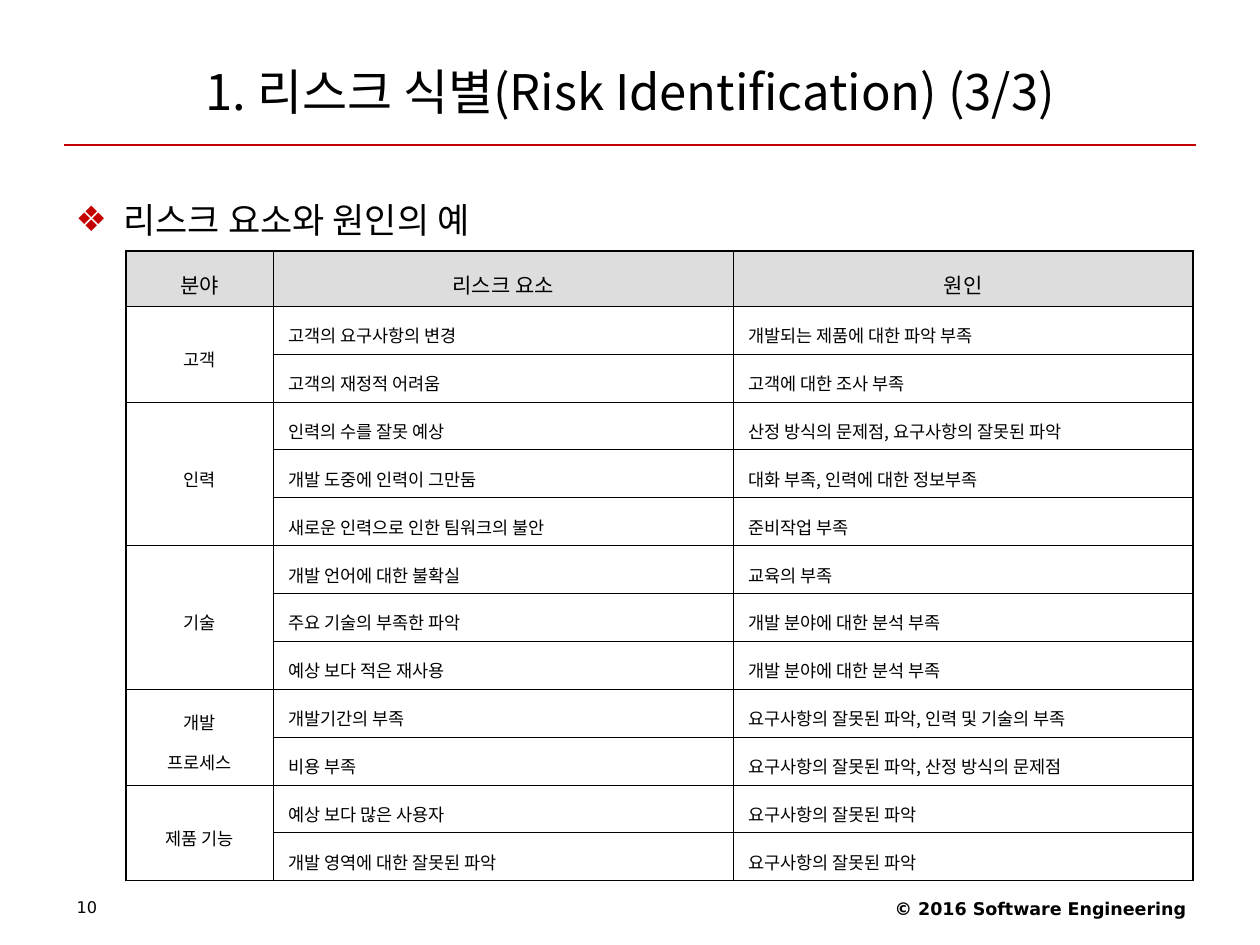
from dataclasses import dataclass

from lxml import etree
from pptx import Presentation
from pptx.dml.color import RGBColor
from pptx.enum import shapes, text
from pptx.oxml import ns
from pptx.util import Inches, Pt


@dataclass(frozen=True)
class Theme:
    ink: str = "000000"
    accent: str = "C40000"
    header_fill: str = "DDDDDD"
    korean: str = "Noto Sans CJK KR"
    latin: str = "DejaVu Sans"
    title: float = 28
    bullet: float = 20
    header: float = 12
    cell: float = 10
    copyright: float = 10
    page: float = 9.2
    rule: float = 0.75
    outer: float = 1.08
    inner: float = 0.45


THEME = Theme()
ALIGN = text.PP_ALIGN
ANCHOR = text.MSO_ANCHOR

HEADER_HEIGHT, RISK_HEIGHT = 0.44, 0.38
COLUMN_WIDTHS = (1.17, 3.65, 3.65)
HEADERS = ["분야", "리스크 요소", "원인"]
RISKS = [
    ("고객", [
        ("고객의 요구사항의 변경", "개발되는 제품에 대한 파악 부족"),
        ("고객의 재정적 어려움", "고객에 대한 조사 부족"),
    ]),
    ("인력", [
        ("인력의 수를 잘못 예상", "산정 방식의 문제점, 요구사항의 잘못된 파악"),
        ("개발 도중에 인력이 그만둠", "대화 부족, 인력에 대한 정보부족"),
        ("새로운 인력으로 인한 팀워크의 불안", "준비작업 부족"),
    ]),
    ("기술", [
        ("개발 언어에 대한 불확실", "교육의 부족"),
        ("주요 기술의 부족한 파악", "개발 분야에 대한 분석 부족"),
        ("예상 보다 적은 재사용", "개발 분야에 대한 분석 부족"),
    ]),
    ("개발\n프로세스", [
        ("개발기간의 부족", "요구사항의 잘못된 파악, 인력 및 기술의 부족"),
        ("비용 부족", "요구사항의 잘못된 파악, 산정 방식의 문제점"),
    ]),
    ("제품 기능", [
        ("예상 보다 많은 사용자", "요구사항의 잘못된 파악"),
        ("개발 영역에 대한 잘못된 파악", "요구사항의 잘못된 파악"),
    ]),
]


def add_child(parent, tag, **attributes):
    return etree.SubElement(parent, ns.qn(tag), attributes)


def style_paragraph(paragraph, size, face, align=ALIGN.LEFT, spacing=1.0, bold=False):
    paragraph.alignment = align
    paragraph.line_spacing = spacing
    paragraph.space_before = Pt(0)
    font = paragraph.font
    font.size = Pt(size)
    font.bold = bold
    font.name = face
    font.color.rgb = RGBColor.from_string(THEME.ink)
    defaults = paragraph._p.pPr.find(ns.qn("a:defRPr"))
    defaults.set("kern", "0")
    add_child(defaults, "a:ea", typeface=face)


def place(shape, left, top, width, height):
    shape.left, shape.top = Inches(left), Inches(top)
    shape.width, shape.height = Inches(width), Inches(height)


def fill_title(title):
    place(title, 0.5, 0.3, 9, 0.85)
    frame = title.text_frame
    frame.text = "1. 리스크 식별(Risk Identification) (3/3)"
    frame.auto_size = text.MSO_AUTO_SIZE.NONE
    frame.vertical_anchor = ANCHOR.MIDDLE
    style_paragraph(frame.paragraphs[0], THEME.title, THEME.korean, ALIGN.CENTER)


def fill_body(body):
    place(body, 0.5, 1.39, 9, 5.51)
    frame = body.text_frame
    frame.text = "리스크 요소와 원인의 예"
    frame.auto_size = text.MSO_AUTO_SIZE.NONE
    frame.vertical_anchor = ANCHOR.TOP
    heading = frame.paragraphs[0]
    properties = heading._p.get_or_add_pPr()
    properties.set("marL", str(Inches(0.38)))
    properties.set("indent", str(Inches(-0.38)))
    add_child(add_child(properties, "a:buClr"), "a:srgbClr", val=THEME.accent)
    add_child(properties, "a:buFont", typeface=THEME.latin)
    add_child(properties, "a:buChar", char="❖")
    style_paragraph(heading, THEME.bullet, THEME.korean, spacing=1.4)


def add_title_rule(slide):
    rule = slide.shapes.add_connector(
        shapes.MSO_CONNECTOR.STRAIGHT, Inches(0.51), Inches(1.15), Inches(9.49), Inches(1.15))
    rule.line.color.rgb = RGBColor.from_string(THEME.accent)
    rule.line.width = Pt(THEME.rule)
    add_child(rule._element.spPr, "a:effectLst")


def add_footer(slide, wording, box, size, **style):
    footer = slide.shapes.add_textbox(*map(Inches, box))
    frame = footer.text_frame
    frame.word_wrap = True
    frame.text = wording
    style_paragraph(frame.paragraphs[0], size, THEME.latin, **style)


def add_borders(cell, outer_sides):
    properties = cell._tc.get_or_add_tcPr()
    for side in "LRTB":
        width = THEME.outer if side in outer_sides else THEME.inner
        border = add_child(properties, f"a:ln{side}", w=str(Pt(width)))
        add_child(add_child(border, "a:solidFill"), "a:srgbClr", val=THEME.ink)


def format_cell(cell, outer_sides, fill=None):
    cell.margin_left = cell.margin_right = Inches(0.12)
    cell.margin_top = cell.margin_bottom = Inches(0.05)
    add_borders(cell, outer_sides)
    if fill:
        cell.fill.solid()
        cell.fill.fore_color.rgb = RGBColor.from_string(fill)
    else:
        cell.fill.background()


def write_cell(cell, wording, size=THEME.cell, align=ALIGN.LEFT, anchor=ANCHOR.TOP):
    cell.text = wording
    cell.vertical_anchor = anchor
    for index, paragraph in enumerate(cell.text_frame.paragraphs):
        style_paragraph(paragraph, size, THEME.korean, align, 1.4)
        if index:
            paragraph.space_before = Pt(2.5)


def write_risks(table):
    for c, header in enumerate(HEADERS):
        write_cell(table.cell(0, c), header, THEME.header, ALIGN.CENTER)
    top = 1
    for area, risks in RISKS:
        area_cell = table.cell(top, 0)
        area_cell.merge(table.cell(top + len(risks) - 1, 0))
        write_cell(area_cell, area, align=ALIGN.CENTER, anchor=ANCHOR.MIDDLE)
        for r, risk in enumerate(risks, top):
            for c, wording in enumerate(risk, 1):
                write_cell(table.cell(r, c), wording)
        top += len(risks)


def add_risk_table(slide):
    risk_count = sum(len(risks) for _, risks in RISKS)
    height = HEADER_HEIGHT + risk_count * RISK_HEIGHT
    table = slide.shapes.add_table(
        risk_count + 1, len(HEADERS), Inches(1), Inches(1.99),
        Inches(sum(COLUMN_WIDTHS)), Inches(height)).table
    table.first_row = table.horz_banding = False
    for column, width in zip(table.columns, COLUMN_WIDTHS):
        column.width = Inches(width)
    write_risks(table)

    last_column = len(HEADERS) - 1
    for r, row in enumerate(table.rows):
        row.height = Inches(RISK_HEIGHT if r else HEADER_HEIGHT)
        for c, cell in enumerate(row.cells):
            bottom = r + (cell.span_height if cell.is_merge_origin else 1) - 1
            at_edge = {"L": c == 0, "R": c == last_column, "T": r == 0, "B": bottom == risk_count}
            outer_sides = [side for side, outer in at_edge.items() if outer]
            format_cell(cell, outer_sides, None if r else THEME.header_fill)


def main():
    deck = Presentation()
    deck.slide_width, deck.slide_height = Inches(10), Inches(7.5)
    slide = deck.slides.add_slide(deck.slide_layouts[1])
    add_title_rule(slide)
    add_footer(slide, "© 2016 Software Engineering", (6.34, 7.08, 3.17, 0.29),
               THEME.copyright, align=ALIGN.RIGHT, bold=True)
    add_footer(slide, "10", (0.51, 7.09, 2.33, 0.28), THEME.page, spacing=0.9)
    fill_title(slide.shapes.title)
    fill_body(slide.placeholders[1])
    add_risk_table(slide)
    deck.save("out.pptx")


if __name__ == "__main__":
    main()
